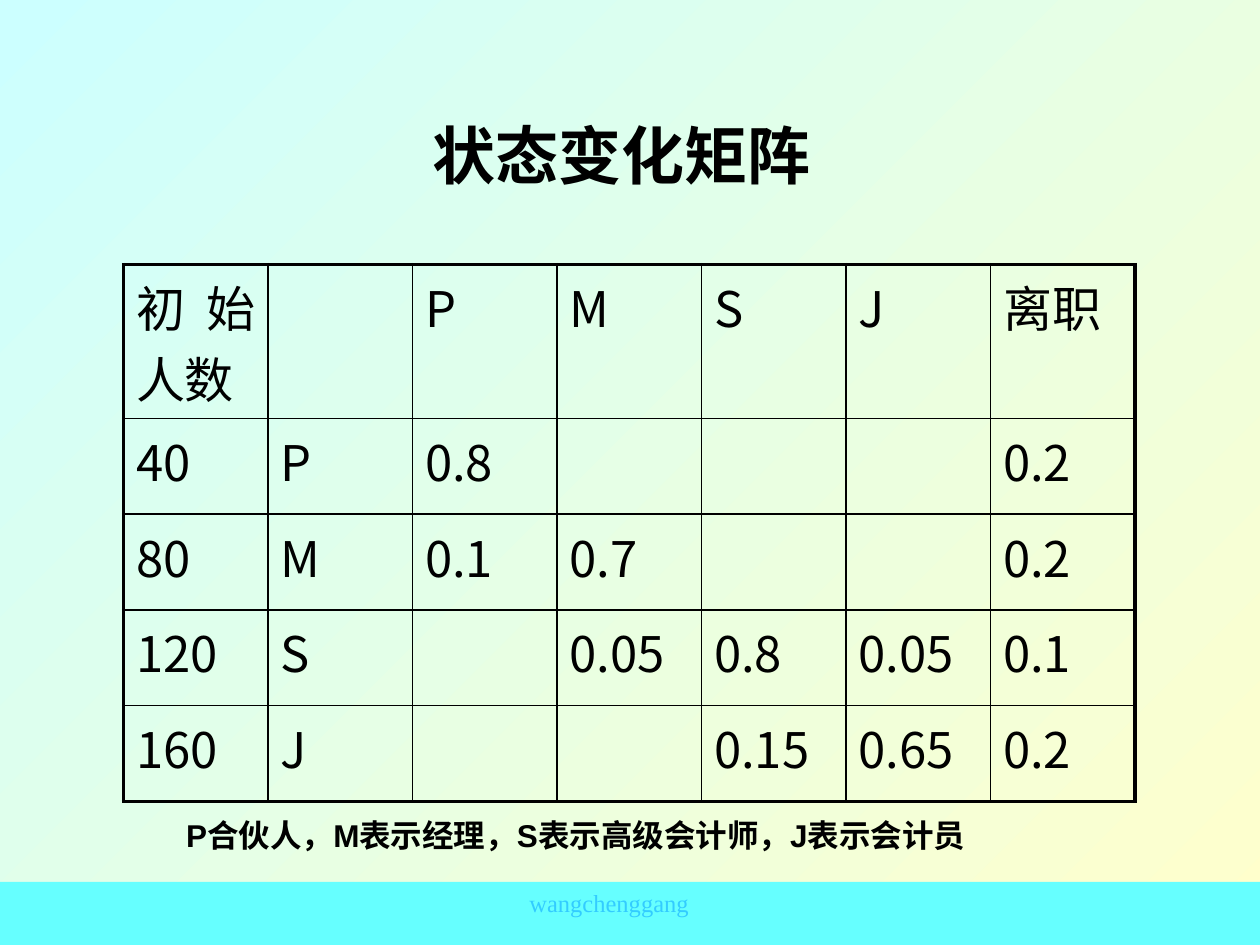
from pptx import Presentation
from pptx.dml.color import RGBColor
from pptx.enum.shapes import MSO_SHAPE
from pptx.enum.text import MSO_ANCHOR, PP_ALIGN
from pptx.oxml.ns import qn
from pptx.util import Inches, Pt
from lxml import etree

RECTANGLE = MSO_SHAPE.RECTANGLE
MIDDLE = MSO_ANCHOR.MIDDLE
LEFT, CENTER, JUSTIFY = PP_ALIGN.LEFT, PP_ALIGN.CENTER, PP_ALIGN.JUSTIFY

TITLE = "状态变化矩阵"
MATRIX = [
    ["初始人数", "", "P", "M", "S", "J", "离职"],
    ["40", "P", "0.8", "", "", "", "0.2"],
    ["80", "M", "0.1", "0.7", "", "", "0.2"],
    ["120", "S", "", "0.05", "0.8", "0.05", "0.1"],
    ["160", "J", "", "", "0.15", "0.65", "0.2"],
]
LEGEND = "P合伙人，M表示经理，S表示高级会计师，J表示会计员"
AUTHOR = "wangchenggang"

THEME = {
    "gradient": ("CCFFFF", "FFFFCC"),
    "band": "66FFFF",
    "line": "000000",
    "inner": 1,
    "outer": 2.25,
    "east_asian": "Noto Sans CJK SC",
    "title": {"name": "Times New Roman", "size": 36, "bold": True, "color": "000000"},
    "cell": {"name": "Noto Sans CJK SC", "size": 28, "bold": False, "color": "000000"},
    "legend": {"name": "Arial", "size": 18, "bold": True, "color": "000000"},
    "author": {"name": "Times New Roman", "size": 14, "bold": False, "color": "33CCFF"},
}

WIDTH, HEIGHT = 10, 7.5
BAND_HEIGHT = HEIGHT / 15
TABLE_LEFT, TABLE_TOP, TABLE_WIDTH = 0.98, 2.1, 8.03
HEADER_HEIGHT, ROW_HEIGHT = 1.22, 0.76


def inches(*lengths):
    return [Inches(length) for length in lengths]


def write(frame, text, style, align):
    paragraph = frame.paragraphs[0]
    paragraph.alignment = align
    span = paragraph.add_run()
    span.text = text
    look = dict(THEME[style])
    span.font.color.rgb = RGBColor.from_string(look.pop("color"))
    look["size"] = Pt(look["size"])
    for name, value in look.items():
        setattr(span.font, name, value)
    east_asian = etree.Element(qn("a:ea"), typeface=THEME["east_asian"])
    span.font._element.find(qn("a:latin")).addnext(east_asian)


def add_text(page, place, text, style, align):
    box = page.shapes.add_textbox(*inches(*place))
    box.text_frame.word_wrap = True
    write(box.text_frame, text, style, align)


def set_borders(cell, outer_sides):
    properties = cell._tc.get_or_add_tcPr()
    for side in "LRTB":
        points = THEME["outer" if outer_sides[side] else "inner"]
        line = etree.SubElement(properties, qn(f"a:ln{side}"), w=str(Pt(points)))
        fill = etree.SubElement(line, qn("a:solidFill"))
        etree.SubElement(fill, qn("a:srgbClr"), val=THEME["line"])


def add_matrix(page):
    rows, columns = len(MATRIX), len(MATRIX[0])
    heights = [HEADER_HEIGHT] + [ROW_HEIGHT] * (rows - 1)
    table = page.shapes.add_table(
        rows, columns, *inches(TABLE_LEFT, TABLE_TOP, TABLE_WIDTH, sum(heights))
    ).table
    table.first_row = table.horz_banding = False
    for row, height in zip(table.rows, heights):
        row.height = Inches(height)
    for column in table.columns:
        column.width = Inches(TABLE_WIDTH / columns)
    for r, values in enumerate(MATRIX):
        for c, value in enumerate(values):
            cell = table.cell(r, c)
            set_borders(cell, {"L": c == 0, "R": c == columns - 1,
                               "T": r == 0, "B": r == rows - 1})
            cell.fill.background()
            if value:
                write(cell.text_frame, value, "cell", JUSTIFY)


def main():
    deck = Presentation()
    deck.slide_width, deck.slide_height = inches(WIDTH, HEIGHT)
    page = deck.slides.add_slide(deck.slide_layouts[5])

    background = page.background.fill
    background.gradient()
    background.gradient_angle = 315
    for stop, color in zip(background.gradient_stops, THEME["gradient"]):
        stop.color.rgb = RGBColor.from_string(color)

    band_top = HEIGHT - BAND_HEIGHT
    band = page.shapes.add_shape(RECTANGLE, *inches(0, band_top, WIDTH, BAND_HEIGHT))
    band.shadow.inherit = False
    band.fill.solid()
    band.fill.fore_color.rgb = RGBColor.from_string(THEME["band"])
    band.line.fill.background()
    add_text(page, (3.25, band_top, 3.17, 0.33), AUTHOR, "author", CENTER)

    title = page.shapes.title
    title.left, title.top, title.width, title.height = inches(0.43, 0.6, 9, 1.25)
    title.text_frame.vertical_anchor = MIDDLE
    write(title.text_frame, TITLE, "title", CENTER)

    add_matrix(page)
    add_text(page, (1.38, 6.43, 6.54, 0.4), LEGEND, "legend", LEFT)
    deck.save("out.pptx")


if __name__ == "__main__":
    main()
